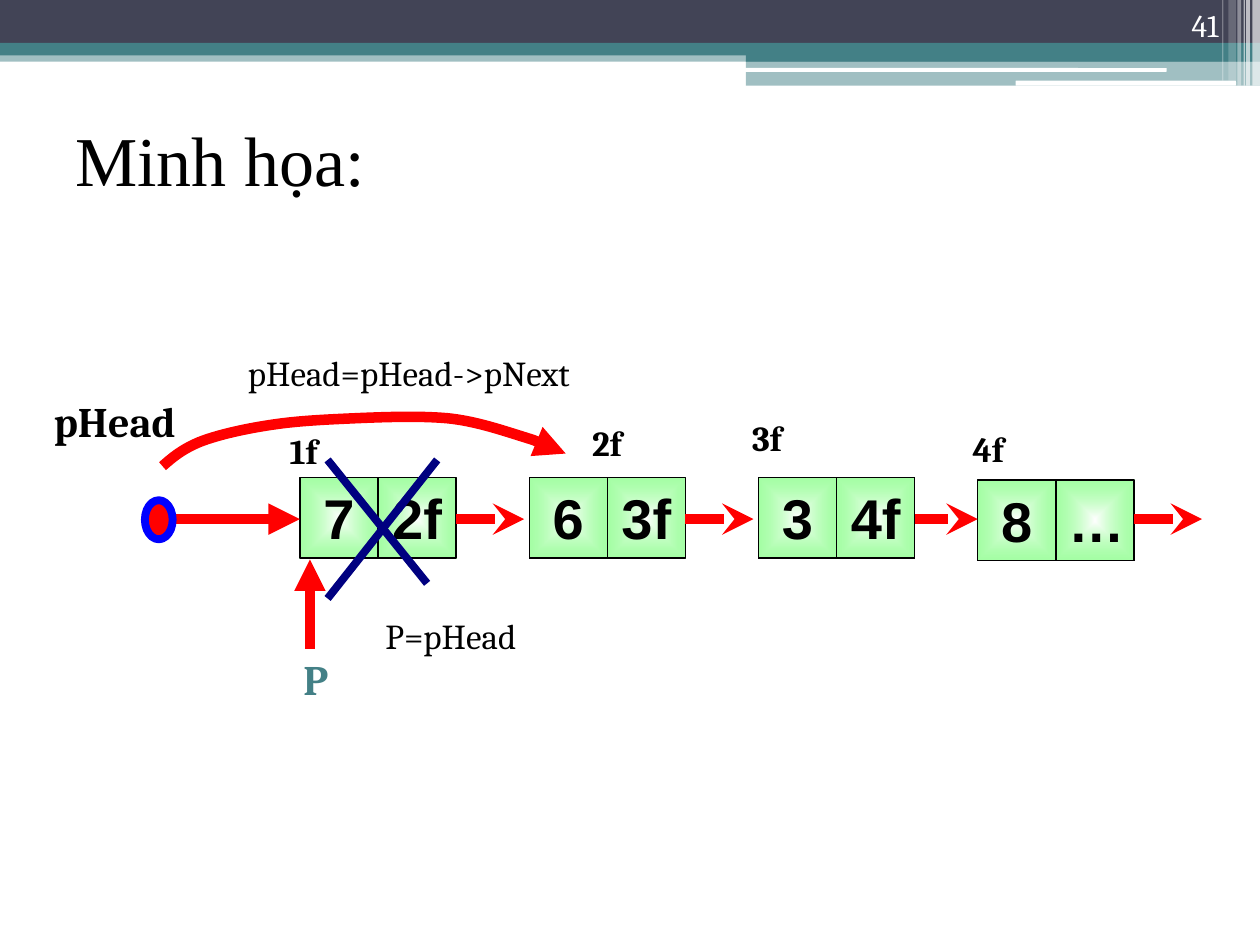
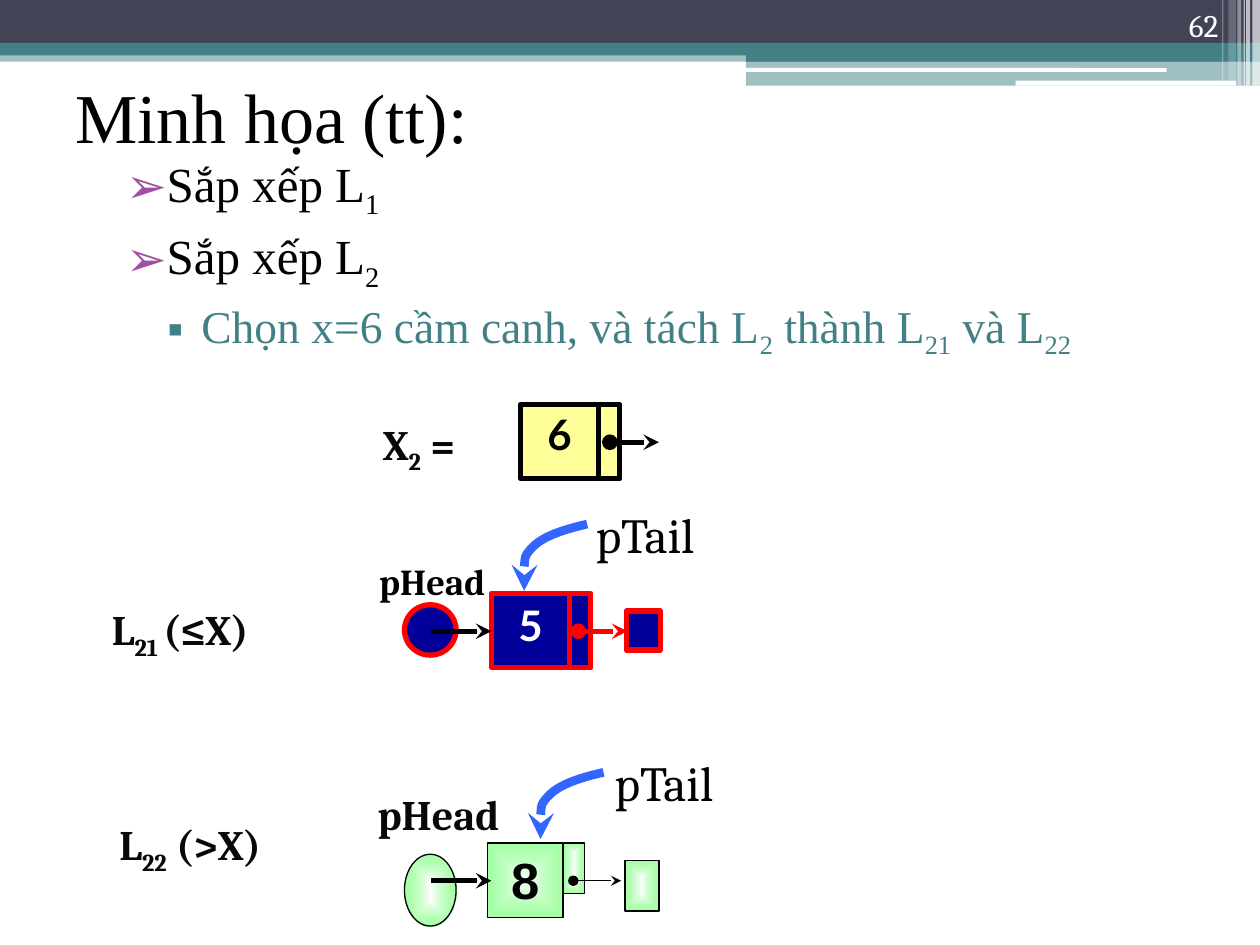
from pptx import Presentation, util as u
from pptx.dml.color import RGBColor
from pptx.enum import shapes, text
from pptx.oxml import parse_xml
from pptx.oxml.ns import nsdecls, qn
from pptx.oxml.xmlchemy import OxmlElement

# ---- Shared style ----
BLACK, WHITE, INK = "000000", "FFFFFF", "080808"
SLATE, TEAL, PURPLE = "424456", "438086", "A04DA3"
RED, BLUE, NAVY, DARK_BLUE, SKY = "FF0000", "0000FF", "000080", "000099", "3366FF"
YELLOW, GREEN = "FFFF99", "69FF69"
GREEN_GLOW = "green glow"
SERIF, TITLE_FONT, SANS, LATO = "Cambria", "Times New Roman", "Arial", "Lato"
RECT, ROUND = shapes.MSO_SHAPE.RECTANGLE, shapes.MSO_SHAPE.ROUNDED_RECTANGLE
OVAL = shapes.MSO_SHAPE.OVAL
LEFT, CENTER = text.PP_ALIGN.LEFT, text.PP_ALIGN.CENTER
RIGHT, JUSTIFY = text.PP_ALIGN.RIGHT, text.PP_ALIGN.JUSTIFY
TOP, MIDDLE, BOTTOM = text.MSO_ANCHOR.TOP, text.MSO_ANCHOR.MIDDLE, text.MSO_ANCHOR.BOTTOM
NO_INSET = (0, 0, 0, 0)

# Header bands: preset, box, colour, opacity in percent
BANDS = [
    (RECT, (0, 0.4, 10, 0.09), TEAL, 50),
    (RECT, (0, 0, 10, 0.34), SLATE, 100),
    (RECT, (0, 0.34, 10, 0.1), TEAL, 100),
    (RECT, (5.92, 0.39, 4.08, 0.1), TEAL, 100),
    (RECT, (5.92, 0.48, 4.08, 0.2), TEAL, 50),
    (ROUND, (5.91, 0.54, 3.35, 0.03), WHITE, 100),
    (ROUND, (8.06, 0.64, 1.75, 0.04), WHITE, 100),
]
# Stripes at the right edge: left, width, height, opacity
STRIPES = [(9.94, 0.06, 0.68, 65), (9.89, 0.03, 0.68, 65), (9.87, 0.01, 0.68, 60),
           (9.82, 0.03, 0.68, 40), (9.75, 0.06, 0.64, 20), (9.7, 0.01, 0.64, 30)]

# ---- Slide 1 content ----
# Node left, top, value, next address
NODES = [(2.38, 3.79, "7", "2f"), (4.2, 3.79, "6", "3f"),
         (6.02, 3.79, "3", "4f"), (7.76, 3.81, "8", "…")]
CELL_WIDTH, CELL_HEIGHT, LINK_Y, LINK_LENGTH = 0.62, 0.64, 4.12, 0.54
# Box, words, size, colour, bold
LABELS = [
    ((2.31, 5.14, 0.44, 0.51), "P", 24, TEAL, True),
    ((0.33, 3.09, 1.47, 0.5), "pHead", 24, BLACK, True),
    ((2.2, 3.36, 0.51, 0.43), "1f", 20, BLACK, True),
    ((4.6, 3.3, 0.51, 0.43), "2f", 20, BLACK, True),
    ((5.87, 3.26, 0.51, 0.43), "3f", 20, BLACK, True),
    ((7.62, 3.34, 0.51, 0.43), "4f", 20, BLACK, True),
    ((2.96, 4.83, 1.45, 0.43), "P=pHead", 20, BLACK, False),
    ((1.87, 2.74, 3.56, 0.44), "pHead=pHead->pNext", 20, BLACK, False),
]
CROSS = [((2.6, 3.65), (3.39, 4.63)), ((3.47, 3.65), (2.6, 4.75))]
HEAD_CURVE = [(1.29, 3.7), (1.37, 3.63), (1.44, 3.57), (1.58, 3.51),
              (1.73, 3.45), (1.96, 3.4), (2.17, 3.37), (2.37, 3.34), (2.59, 3.33),
              (2.82, 3.32), (3.05, 3.31), (3.33, 3.3), (3.55, 3.32),
              (3.76, 3.34), (3.97, 3.41), (4.13, 3.46), (4.29, 3.51), (4.39, 3.56),
              (4.49, 3.6)]

# ---- Slide 2 content: a run is words, or (words,) for a subscript ----
STEPS = [
    (0, ["Sắp xếp L", ("1",)]),
    (0, ["Sắp xếp L", ("2",)]),
    (1, ["Chọn x=6 cầm canh, và tách L", ("2",), " thành L", ("21",), " và L", ("22",)]),
]
# Per level: left margin, indent, bullet, bullet colour, size, text colour
LEVELS = [(0.4, -0.28, "➢", PURPLE, 28, BLACK), (0.72, -0.27, "▪", TEAL, 26, TEAL)]
# Box, runs, size, colour, bold
LIST_LABELS = [
    ((2.93, 3.32, 0.79, 0.43), ["X", ("2",), " ="], 24, INK, True),
    ((0.75, 4.79, 1.36, 0.45), ["L", ("21 ",), "(≤X)"], 24, INK, True),
    ((2.74, 4.1, 1.38, 0.71), [("pHead",)], 36, BLACK, True),
    ((4.66, 4, 0.92, 0.42), ["pTail"], 28, BLACK, False),
    ((2.83, 6.26, 1.3, 0.47), ["pHead"], 24, INK, True),
    ((0.58, 6.5, 1.86, 0.33), ["L", ("22",), " (>X)"], 24, INK, True),
    ((4.79, 5.97, 0.96, 0.42), ["pTail"], 28, BLACK, False),
]
TAIL_CURVE = [(0, 0), (-0.17, 0.04), (-0.34, 0.09), (-0.43, 0.18),
              (-0.51, 0.26), (-0.51, 0.39), (-0.5, 0.53)]
TAIL_STARTS = [(4.66, 4.16), (4.79, 6.13)]


# ---- Helpers ----
def rgb(color):
    return RGBColor.from_string(color)


def inches(values):
    return [u.Inches(value) for value in values]


def set_fill(shape, color, opacity=100):
    if color == GREEN_GLOW:
        shape.fill.background()
        properties = shape._element.spPr
        gradient = parse_xml(
            f'<a:gradFill {nsdecls("a")} rotWithShape="1"><a:gsLst>'
            f'<a:gs pos="0"><a:srgbClr val="{WHITE}"/></a:gs><a:gs pos="100000">'
            f'<a:srgbClr val="{GREEN}"><a:alpha val="60000"/></a:srgbClr></a:gs></a:gsLst>'
            '<a:path path="shape"><a:fillToRect l="50000" t="50000" r="50000" b="50000"/>'
            '</a:path></a:gradFill>')
        properties.replace(properties.find(qn("a:noFill")), gradient)
        return
    shape.fill.solid()
    shape.fill.fore_color.rgb = rgb(color)
    if opacity < 100:
        alpha = OxmlElement("a:alpha")
        alpha.set("val", str(opacity * 1000))
        shape._element.spPr.find(qn("a:solidFill"))[0].append(alpha)


def set_line(shape, color, width, head=None, tail=None):
    shape.line.color.rgb = rgb(color)
    shape.line.width = u.Pt(width)
    for tag, kind in (("a:headEnd", head), ("a:tailEnd", tail)):
        if kind:
            end = OxmlElement(tag)
            end.set("type", kind)
            shape.line._get_or_add_ln().append(end)


def add_runs(paragraph, runs, size, color, font, bold=False):
    for item in runs:
        subscript = isinstance(item, tuple)
        run = paragraph.add_run()
        run.text = item[0] if subscript else item
        run.font.size, run.font.name, run.font.bold = u.Pt(size), font, bold
        run.font.color.rgb = rgb(color)
        if subscript:
            run._r.get_or_add_rPr().set("baseline", "-25000")


def set_frame(shape, anchor=TOP, inset=(0.1, 0.05, 0.1, 0.05), wrap=True):
    frame = shape.text_frame
    frame.word_wrap, frame.vertical_anchor = wrap, anchor
    (frame.margin_left, frame.margin_top,
     frame.margin_right, frame.margin_bottom) = inches(inset)
    return frame


def add_text(slide, box, runs, size, color, font=SERIF, bold=False, align=LEFT, **frame):
    shape = slide.shapes.add_textbox(*inches(box))
    paragraph = set_frame(shape, **frame).paragraphs[0]
    paragraph.alignment = align
    add_runs(paragraph, runs, size, color, font, bold)


def add_block(slide, box, fill, line=None, preset=RECT, opacity=100):
    shape = slide.shapes.add_shape(preset, *inches(box))
    shape.shadow.inherit = False
    set_fill(shape, fill, opacity)
    if line:
        set_line(shape, *line)
    else:
        shape.line.fill.background()
    return shape


def add_cell(slide, box, fill, line, value, size, color, font, **frame):
    shape = add_block(slide, box, fill, line)
    paragraph = set_frame(shape, **frame).paragraphs[0]
    paragraph.alignment = CENTER
    add_runs(paragraph, [value], size, color, font, True)


def add_line(slide, start, end, color, width, **ends):
    connector = slide.shapes.add_connector(
        shapes.MSO_CONNECTOR.STRAIGHT, *inches(start + end))
    set_line(connector, color, width, **ends)
    connector._element.spPr.append(OxmlElement("a:effectLst"))


def add_curve(slide, points, color, width, tail):
    """Every three points after the first make one cubic segment."""
    points = [tuple(inches(point)) for point in points]
    builder = slide.shapes.build_freeform(*points[0])
    builder.add_line_segments(points[1:], close=False)
    shape = builder.convert_to_shape()
    shape.shadow.inherit = False
    shape.fill.background()
    set_line(shape, color, width, tail=tail)
    segments = list(shape._element.iter(qn("a:lnTo")))
    for first in range(0, len(segments), 3):
        cubic = OxmlElement("a:cubicBezTo")
        segments[first].addprevious(cubic)
        for segment in segments[first:first + 3]:
            cubic.append(segment[0])
            segment.getparent().remove(segment)


def start_slide(presentation, title, title_top, number):
    slide = presentation.slides.add_slide(presentation.slide_layouts[6])
    for preset, box, color, opacity in BANDS:
        add_block(slide, box, color, preset=preset, opacity=opacity)
    for left, width, height, opacity in STRIPES:
        add_block(slide, (left, 0, width, height), WHITE, opacity=opacity)
    add_text(slide, (0.5, title_top, 9, 1.17), [title], 40, BLACK, TITLE_FONT, anchor=MIDDLE)
    add_text(slide, (8.94, 0, 0.83, 0.4), [number], 18, WHITE, align=RIGHT, anchor=BOTTOM)
    return slide


def add_node(slide, left, top, value, address):
    middle, right, bottom = left + CELL_WIDTH, left + 2 * CELL_WIDTH, top + CELL_HEIGHT
    for x, word in ((middle, address), (left, value)):
        add_cell(slide, (x, top, CELL_WIDTH, CELL_HEIGHT), GREEN_GLOW, (BLACK, 0.75),
                 word, 32, BLACK, SANS)
    for y in (top, bottom):
        add_line(slide, (left, y), (right, y), BLACK, 0.75)
    for x in (left, middle, right):
        add_line(slide, (x, top), (x, bottom), BLACK, 0.75)


def add_bullet(paragraph, margin, indent, mark, color):
    properties = paragraph._p.get_or_add_pPr()
    properties.set("marL", str(u.Inches(margin)))
    properties.set("indent", str(u.Inches(indent)))
    bullet_color = OxmlElement("a:buClr")
    value = OxmlElement("a:srgbClr")
    value.set("val", color)
    bullet_color.append(value)
    bullet_font = OxmlElement("a:buFont")
    bullet_font.set("typeface", SANS)
    bullet = OxmlElement("a:buChar")
    bullet.set("char", mark)
    properties.extend([bullet_color, bullet_font, bullet])


presentation = Presentation()
presentation.slide_width, presentation.slide_height = inches((10, 7.5))

# ---- Slide 1: removing the first node ----
slide = start_slide(presentation, "Minh họa:", 0.67, "41")
for node in NODES:
    add_node(slide, *node)
# Each link stops at the next node at the latest
next_lefts = [node[0] for node in NODES[1:]] + [10]
for (left, *_), next_left in zip(NODES, next_lefts):
    right = left + 2 * CELL_WIDTH
    add_line(slide, (right, LINK_Y), (min(right + LINK_LENGTH, next_left), LINK_Y),
             RED, 6, tail="stealth")
add_line(slide, (2.46, 5.15), (2.46, 4.44), RED, 6, tail="triangle")
add_line(slide, (1.37, LINK_Y), (2.38, LINK_Y), RED, 6, tail="triangle")
add_block(slide, (1.15, 3.97, 0.22, 0.31), RED, (BLUE, 4.5), OVAL)
for start, end in CROSS:
    add_line(slide, start, end, NAVY, 4.5)
add_curve(slide, HEAD_CURVE, RED, 6, "triangle")
for box, words, size, color, bold in LABELS:
    add_text(slide, box, [words], size, color, bold=bold, wrap=words != "P")

# ---- Slide 2: splitting the list ----
slide = start_slide(presentation, "Minh họa (tt):", 0.33, "62")
frame = set_frame(slide.shapes.add_textbox(*inches((0.78, 1.17, 9.22, 1.97))))
for index, (level, runs) in enumerate(STEPS):
    margin, indent, mark, mark_color, size, color = LEVELS[level]
    paragraph = frame.add_paragraph() if index else frame.paragraphs[0]
    paragraph.level, paragraph.alignment, paragraph.space_before = level, JUSTIFY, u.Pt(3)
    add_bullet(paragraph, margin, indent, mark, mark_color)
    add_runs(paragraph, runs, size, color, TITLE_FONT)

# Pivot node and first sublist node
for left, top, fill, line, value, color, inset, dot in [
        (4.13, 3.21, YELLOW, BLACK, "6", BLACK, (0, 0.03, 0, 0), 4.84),
        (3.9, 4.71, DARK_BLUE, RED, "5", WHITE, (0.1, 0.05, 0.1, 0.05), 4.59)]:
    add_block(slide, (left + 0.62, top, 0.17, 0.59), fill, (line, 3))
    add_cell(slide, (left, top, 0.62, 0.59), fill, (line, 3), value, 24, color, LATO,
             inset=inset)
    add_line(slide, (dot, top + 0.3), (dot + 0.39, top + 0.3), line, 3,
             head="oval", tail="stealth")
add_block(slide, (3.21, 4.8, 0.41, 0.4), DARK_BLUE, (RED, 3), OVAL)
add_block(slide, (4.97, 4.85, 0.27, 0.31), DARK_BLUE, (RED, 3))

# Second sublist
add_block(slide, (4.96, 6.83, 0.27, 0.4), GREEN_GLOW, (BLACK, 0.75))
add_block(slide, (4.47, 6.69, 0.17, 0.4), GREEN_GLOW, (BLACK, 0.75))
add_cell(slide, (3.87, 6.69, 0.6, 0.59), GREEN_GLOW, (BLACK, 0.75), "8", 29, BLACK, SANS)
add_line(slide, (4.55, 6.99), (4.93, 6.99), BLACK, 0.75, head="oval", tail="stealth")
add_block(slide, (3.21, 6.78, 0.41, 0.57), GREEN_GLOW, (BLACK, 0.75), OVAL)

# Head arrows, labels and tail pointers
for y in (5.01, 6.99):
    add_line(slide, (3.42, y), (3.9, y), BLACK, 3, tail="stealth")
for box, runs, size, color, bold in LIST_LABELS:
    add_text(slide, box, runs, size, color, bold=bold, align=CENTER, inset=NO_INSET)
for x, y in TAIL_STARTS:
    add_curve(slide, [(x + dx, y + dy) for dx, dy in TAIL_CURVE], SKY, 5, "stealth")

presentation.save("out.pptx")
